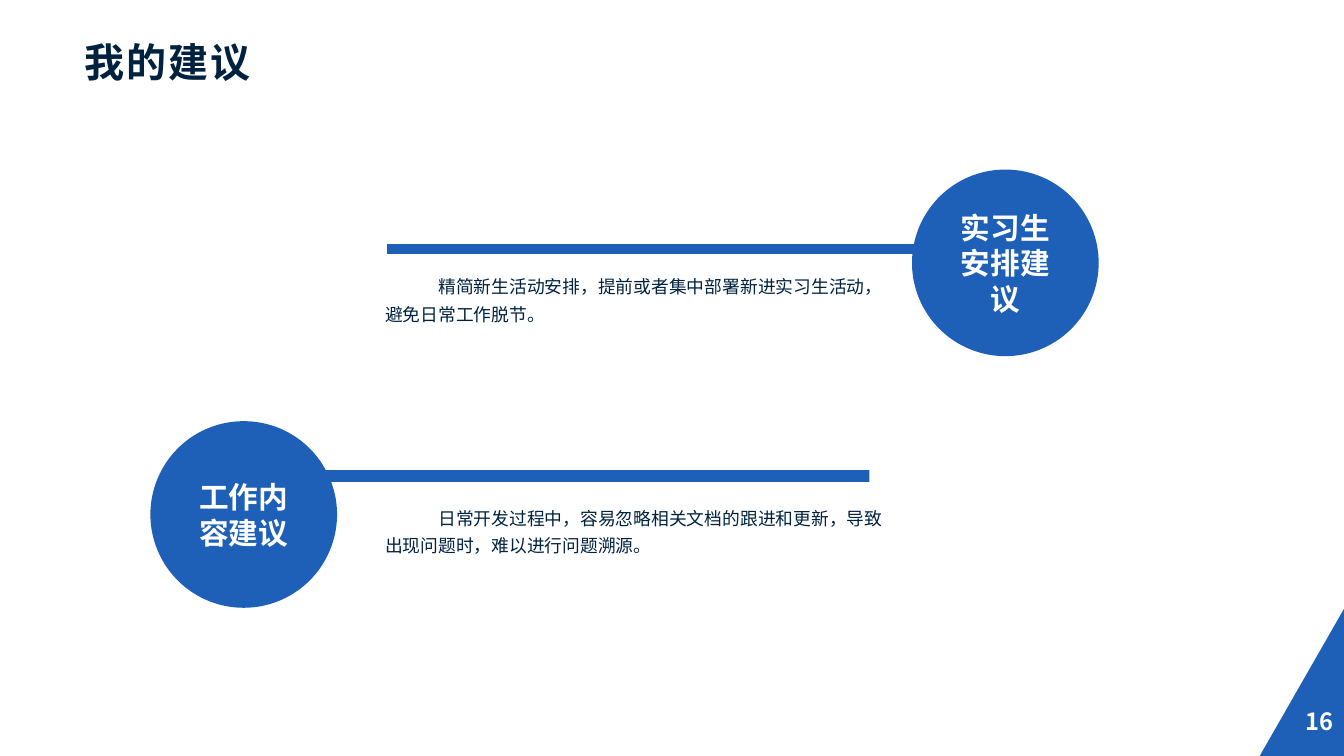
import pptx
import pptx.dml.color
import pptx.enum.shapes
import pptx.enum.text
import pptx.oxml.ns
import pptx.util
from lxml import etree

Inches = pptx.util.Inches
Pt = pptx.util.Pt
RGBColor = pptx.dml.color.RGBColor
Align = pptx.enum.text.PP_ALIGN
Anchor = pptx.enum.text.MSO_ANCHOR
Fit = pptx.enum.text.MSO_AUTO_SIZE
Shape = pptx.enum.shapes.MSO_SHAPE

BLUE = RGBColor(0x1E, 0x5F, 0xB8)
NAVY = RGBColor(0x00, 0x22, 0x3F)
WHITE = RGBColor(0xFF, 0xFF, 0xFF)
FONT = "Noto Sans CJK SC"
WIDTH, HEIGHT = 12.6, 7.09
CIRCLE = 1.75
MARGINS = (0.08, 0.04, 0.08, 0.04)


def apply_format(target, values):
    for name, value in values.items():
        setattr(target, name, value)


def write_text(box, text, size, color, bold=False, margins=MARGINS, frame=None, para=None):
    sides = ("margin_left", "margin_top", "margin_right", "margin_bottom")
    apply_format(box.text_frame, dict(zip(sides, map(Inches, margins))))
    apply_format(box.text_frame, {"word_wrap": True, **(frame or {})})
    paragraph = box.text_frame.paragraphs[0]
    apply_format(paragraph, para or {})
    span = paragraph.add_run()
    span.text = text
    apply_format(span.font, {"name": FONT, "size": Pt(size), "bold": bold})
    span.font.color.rgb = color
    properties = span.font._element
    east_asian = etree.SubElement(properties, pptx.oxml.ns.qn("a:ea"))
    east_asian.set("typeface", FONT)
    return paragraph, properties


def add_text(page, bounds, *args, **formats):
    box = page.shapes.add_textbox(*map(Inches, bounds))
    return write_text(box, *args, **formats)


def paint(shape):
    shape.shadow.inherit = False
    shape.fill.solid()
    shape.fill.fore_color.rgb = BLUE
    shape.line.fill.background()


def add_bar(page, left, top):
    bar = page.shapes.add_shape(Shape.RECTANGLE, *map(Inches, (left, top, 5.29, 0.11)))
    paint(bar)
    return bar


def add_circle(page, left, top, text):
    circle = page.shapes.add_shape(Shape.OVAL, *map(Inches, (left, top, CIRCLE, CIRCLE)))
    paint(circle)
    write_text(circle, text, 20, WHITE, bold=True,
               frame={"vertical_anchor": Anchor.MIDDLE}, para={"alignment": Align.CENTER})


def add_advice(page, top, text):
    paragraph, _ = add_text(page, (3.53, top, 4.99, 0.6), text, 12, NAVY,
                            frame={"auto_size": Fit.SHAPE_TO_FIT_TEXT},
                            para={"line_spacing": 1.3})
    indents = paragraph._p.get_or_add_pPr()
    indents.set("marL", "0")
    indents.set("indent", str(Inches(0.5)))


def add_title(page, text):
    _, properties = add_text(page, (0.79, 0.39, 11.41, 0.57), text, 27, NAVY, bold=True,
                             margins=(0, 0.05, 0.1, 0.05), para={"line_spacing": 0.8})
    properties.set("spc", "150")


def add_page_corner(page, number):
    left, top = 11.81, 5.71
    builder = page.shapes.build_freeform(Inches(left), Inches(HEIGHT))
    builder.add_line_segments([(Inches(WIDTH), Inches(top)), (Inches(WIDTH), Inches(HEIGHT))])
    paint(builder.convert_to_shape())
    add_text(page, (9.76, 6.57, 2.84, 0.38), number, 16, WHITE, bold=True,
             margins=(0.1, 0.05, 0.1, 0.05), frame={"vertical_anchor": Anchor.MIDDLE},
             para={"alignment": Align.RIGHT})


def main():
    deck = pptx.Presentation()
    apply_format(deck, {"slide_width": Inches(WIDTH), "slide_height": Inches(HEIGHT)})
    page = deck.slides.add_slide(deck.slide_layouts[6])
    add_page_corner(page, "16")
    upper_bar = add_bar(page, 3.62, 2.28)
    upper_bar.line.color.rgb = WHITE
    upper_bar.line.width = Pt(1)
    add_bar(page, 2.86, 4.41)
    add_circle(page, 1.41, 3.95, "工作内容建议")
    add_advice(page, 2.49, "精简新生活动安排，提前或者集中部署新进实习生活动，避免日常工作脱节。")
    add_circle(page, 8.55, 1.59, "实习生安排建议")
    add_title(page, "我的建议")
    add_advice(page, 4.66, "日常开发过程中，容易忽略相关文档的跟进和更新，导致出现问题时，难以进行问题溯源。")
    deck.save("out.pptx")


if __name__ == "__main__":
    main()
